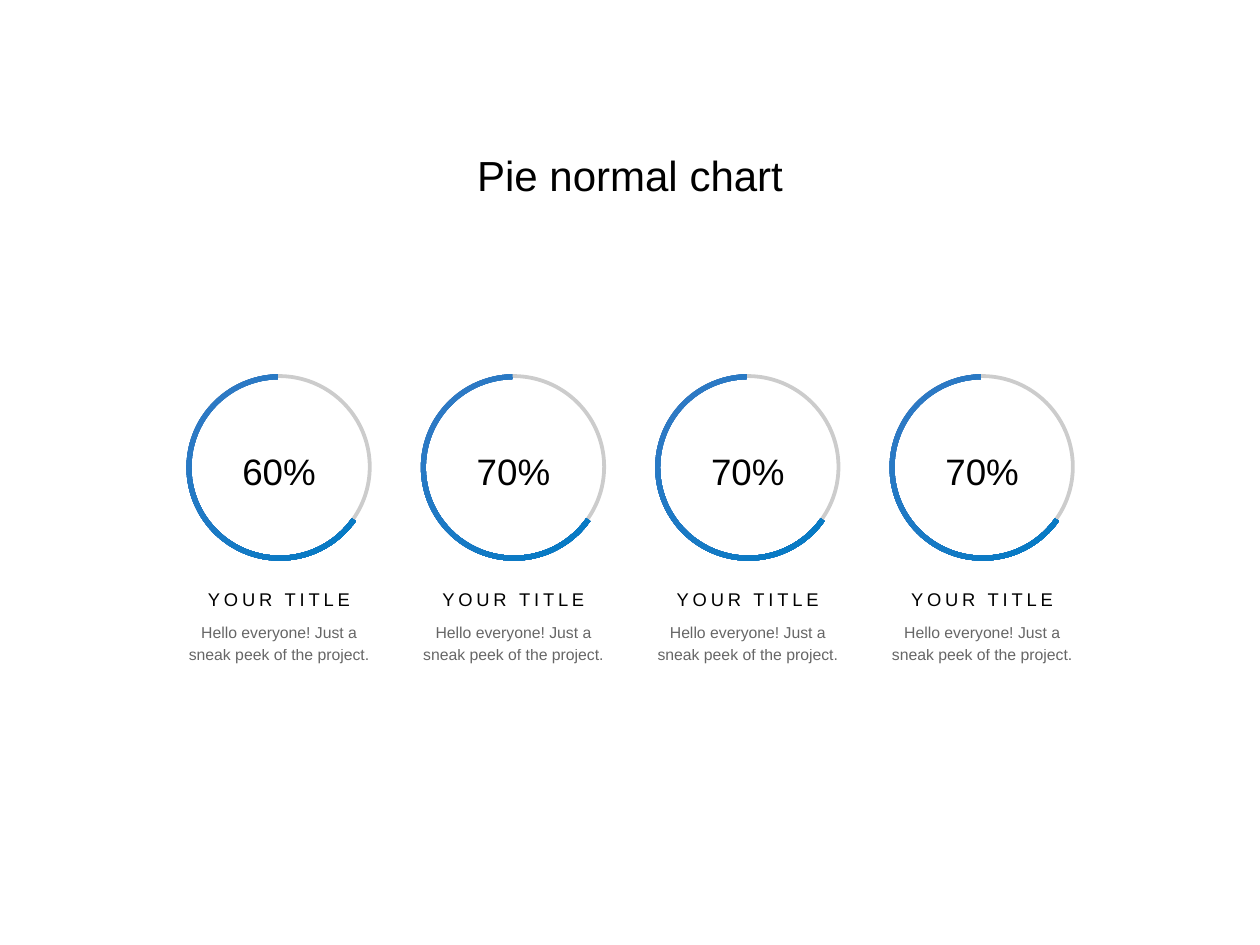
from pptx import Presentation
from pptx.dml.color import RGBColor
from pptx.enum.shapes import MSO_SHAPE
from pptx.enum.text import MSO_ANCHOR, MSO_AUTO_SIZE, PP_ALIGN
from pptx.oxml.ns import qn
from pptx.util import Inches, Pt
from lxml import etree

DONUT, BLOCK_ARC = MSO_SHAPE.DONUT, MSO_SHAPE.BLOCK_ARC
CENTER, MIDDLE = PP_ALIGN.CENTER, MSO_ANCHOR.MIDDLE
GROW = MSO_AUTO_SIZE.SHAPE_TO_FIT_TEXT
FONT = "Arial"
COLORS = {"ink": "000000", "arc_start": "3479C4", "arc_end": "007AC4"}

DIAL_LEFT, DIAL_TOP, DIAL_SIZE, DIAL_PITCH = 1.48, 2.97, 1.47, 1.86
ARC_SIZE = 1.48
TRACK_WIDTH, ARC_WIDTH = 0.03, 0.04
ARC_START, ARC_END = 35.16, 268.84   # degrees, clockwise from the right
ANGLE_UNIT = 0.6                     # adjustment value of one degree
PERCENTAGES = ["60%", "70%", "70%", "70%"]
CAPTION = "YOUR TITLE"
DESCRIPTION = "Hello everyone! Just a sneak peek of the project."


def color(name):
    return RGBColor.from_string(COLORS[name])


def set_opacity(element, percent):
    for node in element.iter(qn("a:srgbClr")):
        etree.SubElement(node, qn("a:alpha"), val=str(percent * 1000))


def write_text(frame, text, size, line_spacing=0.9, opacity=100, tracking=0):
    frame.word_wrap = True
    para = frame.paragraphs[0]
    para.alignment = CENTER
    para.line_spacing = line_spacing
    span = para.add_run()
    span.text = text
    span.font.name = FONT
    span.font.size = Pt(size)
    span.font.color.rgb = color("ink")
    if opacity < 100:
        set_opacity(span._r, opacity)
    if tracking:
        span._r.get_or_add_rPr().set("spc", str(round(tracking * 100)))


def add_label(group, left, top, width, height, text, **text_format):
    box = group.shapes.add_textbox(
        Inches(left), Inches(top), Inches(width), Inches(height))
    write_text(box.text_frame, text, **text_format)
    box.text_frame.auto_size = GROW


def add_ring(group, kind, left, top, size, adjustments):
    ring = group.shapes.add_shape(
        kind, Inches(left), Inches(top), Inches(size), Inches(size))
    for index, value in enumerate(adjustments):
        ring.adjustments[index] = value
    ring.shadow.inherit = False
    ring.line.fill.background()
    return ring


def add_title(page, left, top, width, height):
    title = page.shapes.title
    title.left, title.top = Inches(left), Inches(top)
    title.width, title.height = Inches(width), Inches(height)
    title.text_frame.vertical_anchor = MIDDLE
    write_text(title.text_frame, "Pie normal chart", size=24)


def add_dial(page, left, top, size, percentage):
    group = page.shapes.add_group_shape()

    # Grey track
    track = add_ring(group, DONUT, left, top, size, [TRACK_WIDTH / size])
    track.fill.solid()
    track.fill.fore_color.rgb = color("ink")
    set_opacity(track.fill._xPr, 20)

    # Blue progress arc
    arc = add_ring(group, BLOCK_ARC, left, top, ARC_SIZE,
                   [ARC_START * ANGLE_UNIT, ARC_END * ANGLE_UNIT,
                    ARC_WIDTH / ARC_SIZE])
    arc.fill.gradient()
    arc.fill.gradient_angle = 315
    for stop, name in zip(arc.fill.gradient_stops, ("arc_start", "arc_end")):
        stop.color.rgb = color(name)

    # Description, caption and value
    add_label(group, left - 0.1, top + 1.89, size + 0.2, 0.45, DESCRIPTION,
              size=9, line_spacing=1.2, opacity=60)
    add_label(group, left, top + 1.67, size, 0.26, CAPTION,
              size=10.5, tracking=2.2)
    add_label(group, left, top + 0.58, size, 0.42, percentage, size=21)


def main():
    deck = Presentation()
    deck.slide_width, deck.slide_height = Inches(10), Inches(7.5)
    page = deck.slides.add_slide(deck.slide_layouts[5])
    add_title(page, 1.47, 1.14, 7.06, 0.54)
    for index, percentage in enumerate(PERCENTAGES):
        add_dial(page, DIAL_LEFT + index * DIAL_PITCH, DIAL_TOP, DIAL_SIZE,
                 percentage)
    deck.save("out.pptx")


if __name__ == "__main__":
    main()
